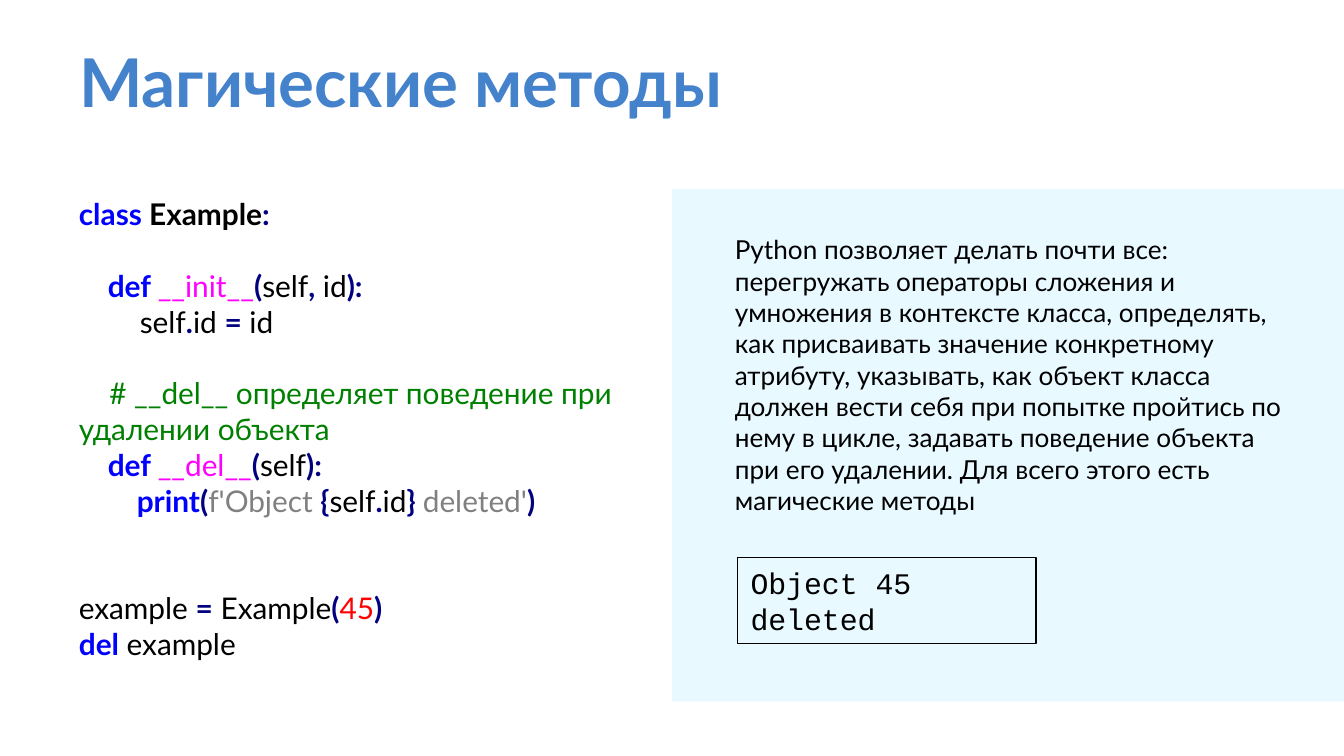
import dataclasses

import pptx
import pptx.dml.color
import pptx.enum.shapes
import pptx.enum.text
import pptx.util


@dataclasses.dataclass(frozen=True)
class Theme:
    """Fonts, type sizes and colours of the slide."""
    font: str = "Lato"
    output_font: str = "Courier New"
    title_size: int = 36
    body_size: int = 14
    code_size: int = 16
    code_line: float = 19.2
    title: str = "4482CC"
    text: str = "000000"
    panel: str = "E8F9FF"
    keyword: str = "0000FF"
    operator: str = "000080"
    magic: str = "FF00FF"
    comment: str = "008000"
    string: str = "808080"
    number: str = "FF0000"


THEME = Theme()
PLAIN = (THEME.text, False)
NAME = (THEME.text, True)
KEYWORD = (THEME.keyword, True)
OPERATOR = (THEME.operator, True)
MAGIC = (THEME.magic, False)
COMMENT = (THEME.comment, False)
STRING = (THEME.string, False)
NUMBER = (THEME.number, False)

TITLE = "Магические методы"
EXPLANATION = (
    "Python позволяет делать почти все: перегружать операторы сложения и умножения "
    "в контексте класса, определять, как присваивать значение конкретному атрибуту, "
    "указывать, как объект класса должен вести себя при попытке пройтись по нему в цикле, "
    "задавать поведение объекта при его удалении. Для всего этого есть магические методы"
)
OUTPUT = "Object 45 deleted"
CODE = [
    (0, [("class ", KEYWORD), ("Example", NAME), (":", OPERATOR)]),
    (1, [("    def ", KEYWORD), ("__init__", MAGIC), ("(", OPERATOR), ("self", PLAIN),
         (",", OPERATOR), (" id", PLAIN), ("):", OPERATOR)]),
    (0, [("        self", PLAIN), (".", OPERATOR), ("id ", PLAIN), ("=", OPERATOR),
         (" id", PLAIN)]),
    (1, [("    # __del__ определяет поведение при удалении объекта", COMMENT)]),
    (0, [("    def ", KEYWORD), ("__del__", MAGIC), ("(", OPERATOR), ("self", PLAIN),
         ("):", OPERATOR)]),
    (0, [("        print", KEYWORD), ("(", OPERATOR), ("f'Object ", STRING),
         ("{", OPERATOR), ("self", PLAIN), (".", OPERATOR), ("id", PLAIN),
         ("} ", OPERATOR), ("deleted'", STRING), (")", OPERATOR)]),
    (2, [("example ", PLAIN), ("=", OPERATOR), (" Example", PLAIN), ("(", OPERATOR),
         ("45", NUMBER), (")", OPERATOR)]),
    (0, [("del", KEYWORD), (" example", PLAIN)]),
]


def points(box):
    """Convert a box of numbers to lengths in points."""
    return [pptx.util.Pt(value) for value in box]


def rgb(color):
    """Convert a hexadecimal string to a colour."""
    return pptx.dml.color.RGBColor.from_string(color)


def format_run(run, size, color, bold=False, font=THEME.font):
    """Set the type of one run."""
    run.font.name = font
    run.font.size = pptx.util.Pt(size)
    run.font.bold = bold
    run.font.color.rgb = rgb(color)


def add_rectangle(slide, box):
    """Add a plain rectangle without a shadow."""
    shape = slide.shapes.add_shape(
        pptx.enum.shapes.MSO_SHAPE.RECTANGLE, *points(box))
    shape.shadow.inherit = False
    return shape


def add_text_frame(slide, box):
    """Add a wrapping text box and return its text frame."""
    text_frame = slide.shapes.add_textbox(*points(box)).text_frame
    text_frame.word_wrap = True
    return text_frame


def place_title(slide, box):
    """Move and format the title placeholder."""
    shape = slide.shapes.title
    shape.left, shape.top, shape.width, shape.height = points(box)
    text_frame = shape.text_frame
    text_frame.text = TITLE
    text_frame.auto_size = pptx.enum.text.MSO_AUTO_SIZE.NONE
    text_frame.vertical_anchor = pptx.enum.text.MSO_ANCHOR.TOP
    text_frame.margin_top = text_frame.margin_bottom = pptx.util.Pt(7.2)
    paragraph = text_frame.paragraphs[0]
    paragraph.alignment = pptx.enum.text.PP_ALIGN.LEFT
    format_run(paragraph.runs[0], THEME.title_size, THEME.title, bold=True)


def place_code(slide, box):
    """Write the highlighted code, with gaps counted in lines."""
    text_frame = add_text_frame(slide, box)
    for index, (gap, tokens) in enumerate(CODE):
        paragraph = text_frame.add_paragraph() if index else text_frame.paragraphs[0]
        if gap:
            paragraph.space_before = pptx.util.Pt(gap * THEME.code_line)
        for text, (color, bold) in tokens:
            run = paragraph.add_run()
            run.text = text
            format_run(run, THEME.code_size, color, bold)


def place_output(slide, box):
    """Draw the framed program output."""
    shape = add_rectangle(slide, box)
    shape.fill.background()
    shape.line.color.rgb = rgb(THEME.text)
    shape.line.width = pptx.util.Pt(0.75)
    text_frame = shape.text_frame
    text_frame.word_wrap = True
    text_frame.text = OUTPUT
    text_frame.vertical_anchor = pptx.enum.text.MSO_ANCHOR.TOP
    paragraph = text_frame.paragraphs[0]
    paragraph.alignment = pptx.enum.text.PP_ALIGN.LEFT
    paragraph.line_spacing = pptx.util.Pt(THEME.code_line)
    format_run(paragraph.runs[0], THEME.code_size, THEME.text, font=THEME.output_font)


def place_panel(slide, box):
    """Fill the side panel with the explanation and the output."""
    left, top, width, height = box
    panel = add_rectangle(slide, box)
    panel.fill.solid()
    panel.fill.fore_color.rgb = rgb(THEME.panel)
    panel.line.fill.background()
    text_frame = add_text_frame(slide, (left + 26.6, top + 20.2, width - 41, 160))
    text_frame.text = EXPLANATION
    format_run(text_frame.paragraphs[0].runs[0], THEME.body_size, THEME.text)
    place_output(slide, (left + 35, top + 197.4, 160, 46))


def main():
    """Build and save the slide."""
    presentation = pptx.Presentation()
    presentation.slide_width, presentation.slide_height = points((720, 405))
    slide = presentation.slides.add_slide(presentation.slide_layouts[5])
    place_panel(slide, (360, 101.4, 360, 274.4))
    place_title(slide, (35.2, 14.4, 576, 54.7))
    place_code(slide, (35.2, 101.4, 345.6, 259.2))
    presentation.save("out.pptx")


if __name__ == "__main__":
    main()
